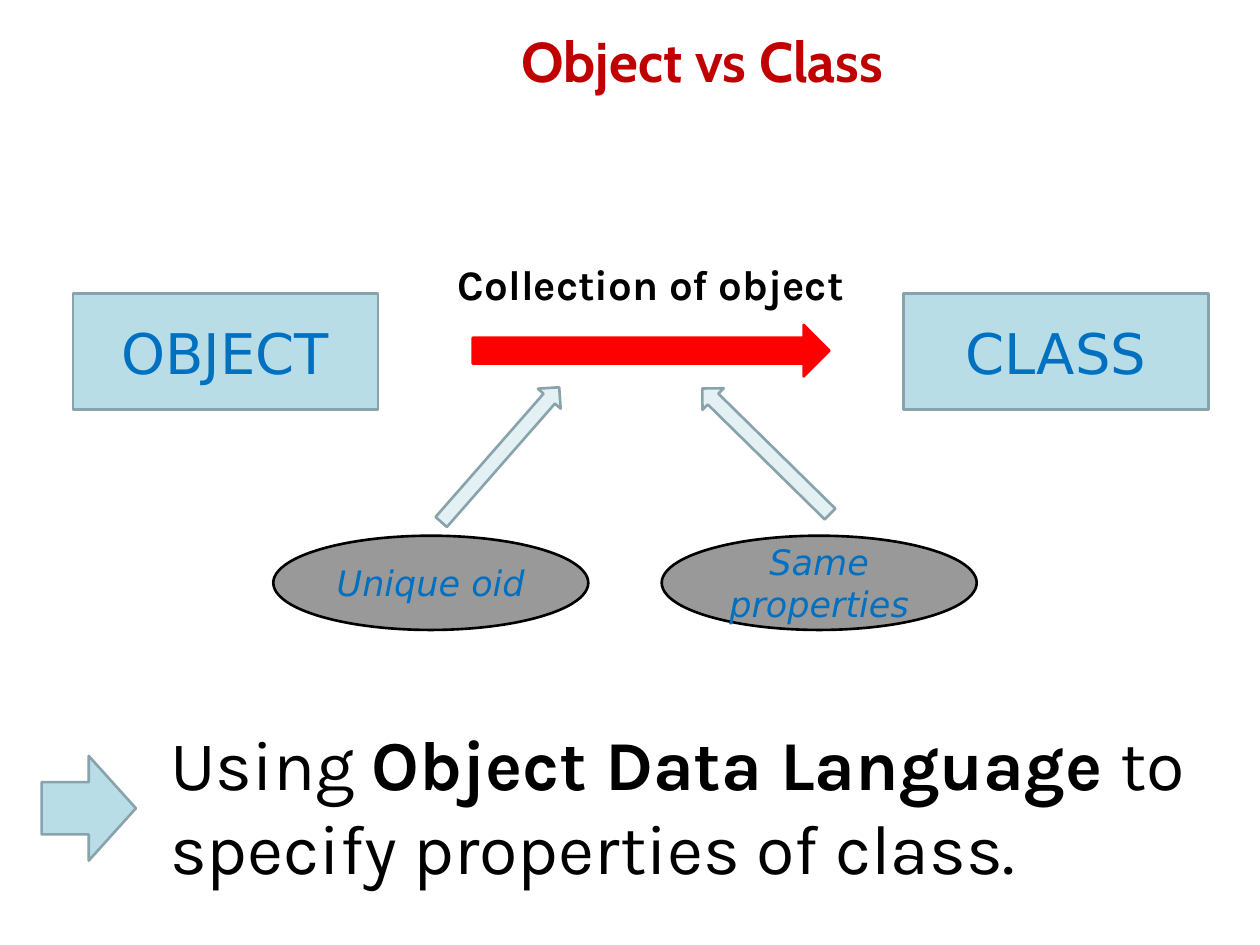
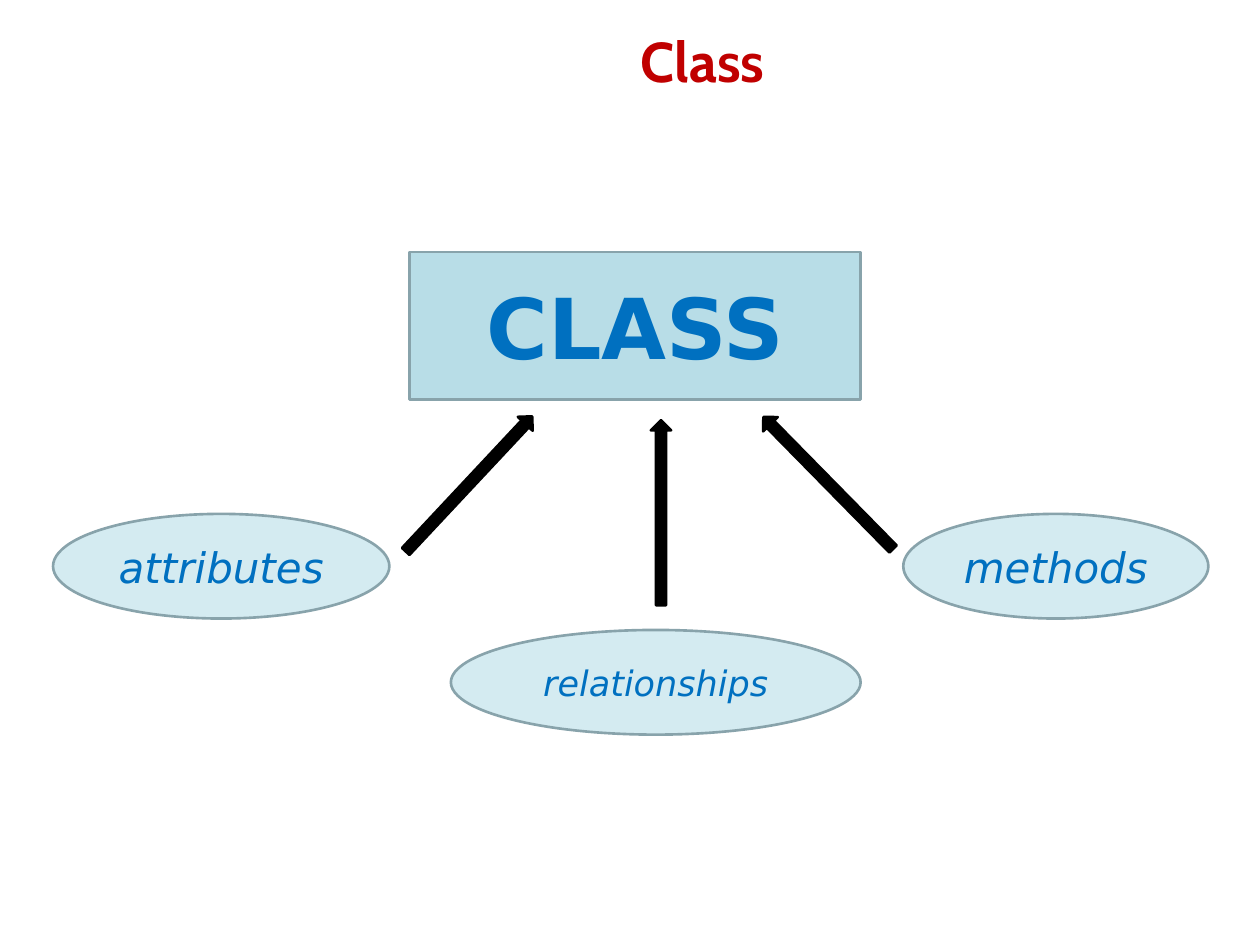
"""Build two slides that explain objects and classes with boxes, ellipses and arrows."""
from pptx import Presentation
from pptx.dml.color import RGBColor
from pptx.enum.shapes import MSO_SHAPE as SHAPE
from pptx.enum.text import MSO_ANCHOR as ANCHOR, MSO_AUTO_SIZE as AUTO, PP_ALIGN as ALIGN
from pptx.util import Cm, Pt

RED, BLUE, BLACK = "C00000", "0070C0", "000000"
STYLES = {
    "box": (SHAPE.RECTANGLE, "B8DDE7", "88A3AB"),
    "gray oval": (SHAPE.OVAL, "999999", BLACK),
    "pale oval": (SHAPE.OVAL, "D4EBF1", "88A3AB"),
    "red arrow": (SHAPE.RIGHT_ARROW, "FF0000", "FF0000"),
    "pale arrow": (SHAPE.RIGHT_ARROW, "E3F1F5", "88A3AB"),
    "blue arrow": (SHAPE.RIGHT_ARROW, "B8DDE7", "88A3AB"),
    "black arrow": (SHAPE.RIGHT_ARROW, BLACK, BLACK),
}
TITLE_AT = (4.45, 0.43, 19.43, 1.57)
LEFT, RIGHT = 1.47, 18.21

SLIDES = [
    {
        "title": "Object vs Class",
        "arrows": [
            ("red arrow", (9.53, 6.55, 7.19, 1.04), 0),
            ("pale arrow", (8.28, 8.86, 3.61, 0.61), 311.2),
            ("pale arrow", (13.64, 8.79, 3.61, 0.61), 224.5),
            ("blue arrow", (0.84, 15.24, 1.9, 2.11), 0),
        ],
        "nodes": [
            ("box", (LEFT, 5.92, 6.15, 2.34), "OBJECT", 32, {}),
            ("box", (RIGHT, 5.92, 6.15, 2.34), "CLASS", 32, {}),
            ("gray oval", (5.51, 10.8, 6.35, 1.9), "Unique oid", 20, {"italic": True}),
            ("gray oval", (13.34, 10.8, 6.35, 1.9), "Same properties", 20, {"italic": True}),
        ],
        "notes": [
            ((8.46, 5.08, 9.32, 1.27), ALIGN.CENTER, 24, [("Collection of object", True)]),
            ((3.18, 14.4, 21.39, 3.68), ALIGN.LEFT, 40,
             [("Using ", False), ("Object Data Language ", True),
              ("to specify properties of class.", False)]),
        ],
    },
    {
        "title": "Class",
        "arrows": [
            ("black arrow", (7.59, 9.55, 3.73, 0.41), 313.1),
            ("black arrow", (11.46, 10.13, 3.73, 0.41), 270),
            ("black arrow", (14.83, 9.53, 3.73, 0.41), 225.5),
        ],
        "nodes": [
            ("box", (8.26, 5.08, 9.09, 2.97), "CLASS", 48, {"bold": True}),
            ("pale oval", (1.07, 10.36, 6.78, 2.11), "attributes", 24, {"italic": True}),
            ("pale oval", (9.09, 12.7, 8.26, 2.11), "relationships", 20, {"italic": True}),
            ("pale oval", (RIGHT, 10.36, 6.15, 2.11), "methods", 24, {"italic": True}),
        ],
        "notes": [],
    },
]


def rgb(color):
    return RGBColor.from_string(color)


def cm(at):
    return [Cm(n) for n in at]


def add_run(p, text, font, size, color, bold=False, italic=False):
    r = p.add_run()
    r.text = text
    r.font.name, r.font.size = font, Pt(size)
    r.font.bold, r.font.italic = bold, italic
    r.font.color.rgb = rgb(color)


def set_title(s, text):
    sp = s.shapes.title
    sp.left, sp.top, sp.width, sp.height = cm(TITLE_AT)
    tf = sp.text_frame
    tf.auto_size, tf.vertical_anchor = AUTO.NONE, ANCHOR.MIDDLE
    p = tf.paragraphs[0]
    p.alignment = ALIGN.CENTER
    add_run(p, text, "Cabin", 32, RED, bold=True)


def add_figure(s, style, at):
    kind, fill, line = STYLES[style]
    sp = s.shapes.add_shape(kind, *cm(at))
    sp.shadow.inherit = False
    sp.fill.solid()
    sp.fill.fore_color.rgb = rgb(fill)
    sp.line.color.rgb = rgb(line)
    sp.line.width = Pt(1.5)
    return sp


def add_node(s, style, at, text, size, emphasis):
    tf = add_figure(s, style, at).text_frame
    tf.word_wrap, tf.vertical_anchor = True, ANCHOR.MIDDLE
    p = tf.paragraphs[0]
    p.alignment = ALIGN.CENTER
    add_run(p, text, "DejaVu Sans", size, BLUE, **emphasis)


def add_note(s, at, align, size, runs):
    tf = s.shapes.add_textbox(*cm(at)).text_frame
    tf.word_wrap, tf.auto_size = True, AUTO.SHAPE_TO_FIT_TEXT
    p = tf.paragraphs[0]
    p.alignment = align
    for text, bold in runs:
        add_run(p, text, "Karla", size, BLACK, bold=bold)


def main():
    prs = Presentation()
    prs.slide_width, prs.slide_height = Cm(25.4), Cm(19.05)
    for content in SLIDES:
        s = prs.slides.add_slide(prs.slide_layouts[5])
        set_title(s, content["title"])
        for node in content["nodes"]:
            add_node(s, *node)
        for style, at, angle in content["arrows"]:
            add_figure(s, style, at).rotation = angle
        for note in content["notes"]:
            add_note(s, *note)
    prs.save("out.pptx")


if __name__ == "__main__":
    main()
